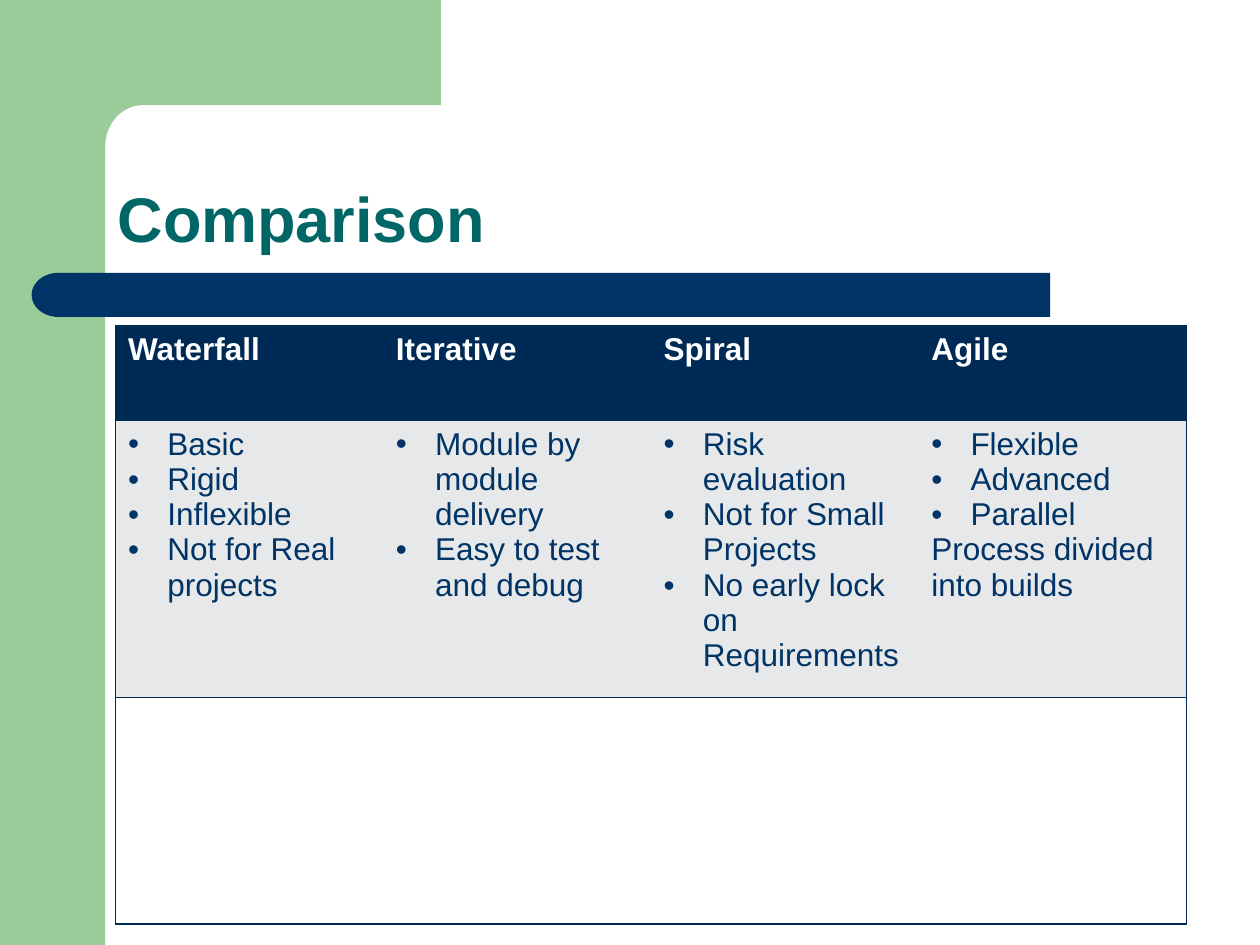
import math

from lxml import etree
from pptx import Presentation
from pptx.dml.color import RGBColor
from pptx.enum.shapes import MSO_SHAPE
from pptx.enum.text import MSO_ANCHOR
from pptx.oxml.ns import qn
from pptx.util import Cm, Pt

RECTANGLE = MSO_SHAPE.RECTANGLE
DELAY = MSO_SHAPE.FLOWCHART_DELAY
BOTTOM = MSO_ANCHOR.BOTTOM

GREEN = RGBColor(0x99, 0xCC, 0x99)
NAVY = RGBColor(0x00, 0x33, 0x66)
TEAL = RGBColor(0x00, 0x66, 0x66)
DARK_NAVY = RGBColor(0x00, 0x2A, 0x56)
GREY = RGBColor(0xE7, 0xE8, 0xE9)
WHITE = RGBColor(0xFF, 0xFF, 0xFF)
FONT = "Arial"

TITLE = "Comparison"
# Model name, bulleted points, closing line without a bullet
MODELS = [
    ("Waterfall", ["Basic", "Rigid", "Inflexible", "Not for Real\nprojects"], None),
    ("Iterative", ["Module by module delivery", "Easy to test and debug"], None),
    ("Spiral", ["Risk evaluation", "Not for Small Projects",
                "No early lock on Requirements"], None),
    ("Agile", ["Flexible", "Advanced", "Parallel"], "Process divided into builds"),
]
ROW_HEIGHTS = [1.91, 5.22, 4.57]
ROW_FILLS = [DARK_NAVY, GREY, WHITE]
TABLE_LEFT, TABLE_TOP, TABLE_WIDTH = 2.33, 6.56, 21.59
BULLET_INDENT = 0.79

SIDEBAR_WIDTH = 2.12
TOP_BAND_RIGHT, TOP_BAND_HEIGHT = 8.89, 2.12
CORNER_WIDTH, CORNER_HEIGHT = 0.76, 0.84
CORNER_STEPS = 16


def paint(shape, color):
    shape.shadow.inherit = False
    shape.fill.solid()
    shape.fill.fore_color.rgb = color
    shape.line.fill.background()


def add_block(shapes, kind, left, top, width, height, color):
    block = shapes.add_shape(kind, Cm(left), Cm(top), Cm(width), Cm(height))
    paint(block, color)
    return block


def add_top_band(shapes):
    """Band along the top that meets the sidebar in a rounded inner corner."""
    center_x = SIDEBAR_WIDTH + CORNER_WIDTH
    center_y = TOP_BAND_HEIGHT + CORNER_HEIGHT
    arc = []
    for step in range(CORNER_STEPS + 1):
        angle = math.pi / 2 * step / CORNER_STEPS
        arc.append((center_x - CORNER_WIDTH * math.sin(angle),
                    center_y - CORNER_HEIGHT * math.cos(angle)))
    left, bottom = 1.27, 3.25
    outline = [(TOP_BAND_RIGHT, TOP_BAND_HEIGHT), *arc,
               (SIDEBAR_WIDTH, bottom), (left, bottom), (left, 0)]
    builder = shapes.build_freeform(Cm(TOP_BAND_RIGHT), Cm(0))
    builder.add_line_segments([(Cm(x), Cm(y)) for x, y in outline], close=True)
    paint(builder.convert_to_shape(), GREEN)


def style_text(paragraph, size, color, bold=False):
    for run in paragraph.runs:
        run.font.name = FONT
        run.font.size = Pt(size)
        run.font.bold = bold
        run.font.color.rgb = color


def add_bullet(paragraph):
    properties = paragraph._p.get_or_add_pPr()
    properties.set("marL", str(Cm(BULLET_INDENT)))
    properties.set("indent", str(-Cm(BULLET_INDENT)))
    etree.SubElement(properties, qn("a:buFont")).set("typeface", FONT)
    etree.SubElement(properties, qn("a:buChar")).set("char", "•")


def set_borders(cell, visible_sides):
    """Line the visible sides and clear the others, ahead of the cell's fill."""
    properties = cell._tc.get_or_add_tcPr()
    for position, side in enumerate("LRTB"):
        line = etree.Element(qn(f"a:ln{side}"), w=str(Pt(1)))
        if side in visible_sides:
            fill = etree.SubElement(line, qn("a:solidFill"))
            etree.SubElement(fill, qn("a:srgbClr")).set("val", str(DARK_NAVY))
        else:
            etree.SubElement(line, qn("a:noFill"))
        properties.insert(position, line)


def fill_points(cell, points, closing_line):
    lines = points + ([closing_line] if closing_line else [])
    frame = cell.text_frame
    for index, line in enumerate(lines):
        paragraph = frame.add_paragraph() if index else frame.paragraphs[0]
        paragraph.text = line
        style_text(paragraph, 18, NAVY)
        if index < len(points):
            add_bullet(paragraph)


def add_comparison(shapes):
    table = shapes.add_table(
        len(ROW_HEIGHTS), len(MODELS), Cm(TABLE_LEFT), Cm(TABLE_TOP),
        Cm(TABLE_WIDTH), Cm(sum(ROW_HEIGHTS))).table
    for row, height in zip(table.rows, ROW_HEIGHTS):
        row.height = Cm(height)
    last_column = len(MODELS) - 1
    for column, (name, points, closing_line) in enumerate(MODELS):
        heading = table.cell(0, column)
        heading.text_frame.text = name
        style_text(heading.text_frame.paragraphs[0], 18, WHITE, bold=True)
        fill_points(table.cell(1, column), points, closing_line)
        sides = "TB" + ("L" if column == 0 else "") + ("R" if column == last_column else "")
        for row, color in enumerate(ROW_FILLS):
            cell = table.cell(row, column)
            cell.fill.solid()
            cell.fill.fore_color.rgb = color
            set_borders(cell, sides)


def add_title(shapes):
    frame = shapes.add_textbox(Cm(2.12), Cm(2.12), Cm(22.01), Cm(3.17)).text_frame
    frame.word_wrap = True
    frame.vertical_anchor = BOTTOM
    frame.text = TITLE
    paragraph = frame.paragraphs[0]
    paragraph.line_spacing = 0.9
    style_text(paragraph, 36, TEAL, bold=True)


def main():
    presentation = Presentation()
    presentation.slide_width, presentation.slide_height = Cm(25.4), Cm(19.05)
    shapes = presentation.slides.add_slide(presentation.slide_layouts[6]).shapes

    add_block(shapes, RECTANGLE, 0, 0, SIDEBAR_WIDTH, 19.05, GREEN)
    add_top_band(shapes)
    add_block(shapes, RECTANGLE, 1.69, 5.5, 19.48, 0.89, NAVY)
    bar_end = add_block(shapes, DELAY, 0.64, 5.5, 1.08, 0.89, NAVY)
    bar_end._element.spPr.get_or_add_xfrm().set("flipH", "1")
    add_title(shapes)
    add_comparison(shapes)
    presentation.save("out.pptx")


if __name__ == "__main__":
    main()
